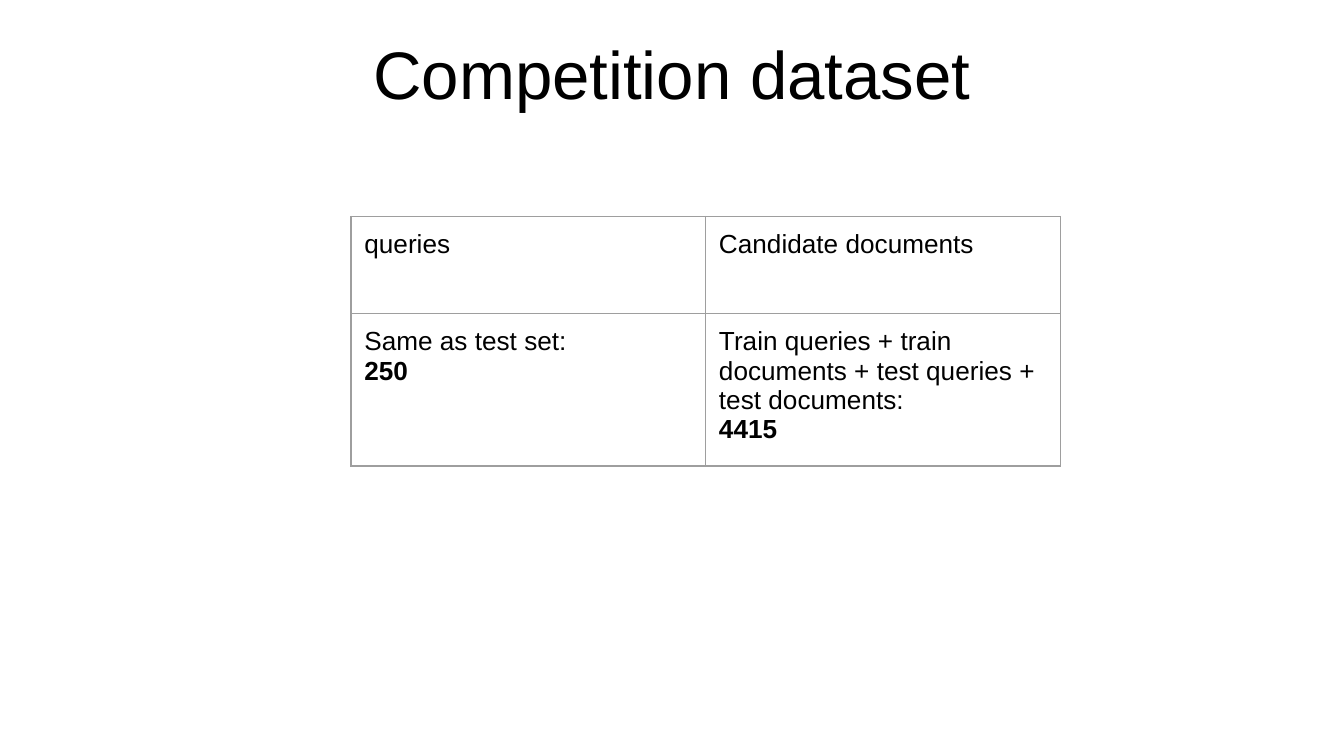
from pptx import Presentation
from pptx.dml.color import RGBColor
from pptx.enum.text import MSO_ANCHOR, PP_ALIGN
from pptx.oxml import parse_xml
from pptx.oxml.ns import nsdecls
from pptx.util import Pt

COLORS = {"text": "000000", "border": "9E9E9E"}
INSET = Pt(7.2)
ROWS = [
    [[("queries", False)], [("Candidate documents", False)]],
    [
        [("Same as test set:", False), ("250", True)],
        [("Train queries + train documents + test queries + test documents:", False),
         ("4415", True)],
    ],
]


def style(p, size, bold=False):
    p.font.name = "Arial"
    p.font.size = Pt(size)
    p.font.bold = bold
    p.font.color.rgb = RGBColor.from_string(COLORS["text"])


def add_borders(cell):
    tc_pr = cell._tc.get_or_add_tcPr()
    for i, side in enumerate(("lnL", "lnR", "lnT", "lnB")):
        tc_pr.insert(i, parse_xml(
            f'<a:{side} {nsdecls("a")} w="{Pt(0.75)}"><a:solidFill>'
            f'<a:srgbClr val="{COLORS["border"]}"/></a:solidFill></a:{side}>'))


prs = Presentation()
prs.slide_width, prs.slide_height = Pt(720), Pt(405)
s = prs.slides.add_slide(prs.slide_layouts[6])

# Title
tf = s.shapes.add_textbox(Pt(24.5), Pt(5.8), Pt(671), Pt(66)).text_frame
tf.word_wrap = True
tf.vertical_anchor = MSO_ANCHOR.MIDDLE
tf.margin_left = tf.margin_right = tf.margin_top = tf.margin_bottom = INSET
p = tf.paragraphs[0]
p.text = "Competition dataset"
p.alignment = PP_ALIGN.CENTER
style(p, 36)

# Dataset table
table = s.shapes.add_table(2, 2, Pt(188), Pt(116), Pt(380), Pt(104)).table
table.first_row = table.horz_banding = False
for column in table.columns:
    column.width = Pt(190)
for row in table.rows:
    row.height = Pt(52)

for i, row in enumerate(ROWS):
    for j, lines in enumerate(row):
        cell = table.cell(i, j)
        cell.margin_left = cell.margin_right = INSET
        cell.margin_top = cell.margin_bottom = INSET
        cell.fill.background()
        add_borders(cell)
        tf = cell.text_frame
        tf.text = "\n".join(text for text, bold in lines)
        for p, (text, bold) in zip(tf.paragraphs, lines):
            style(p, 14, bold)

prs.save("out.pptx")
